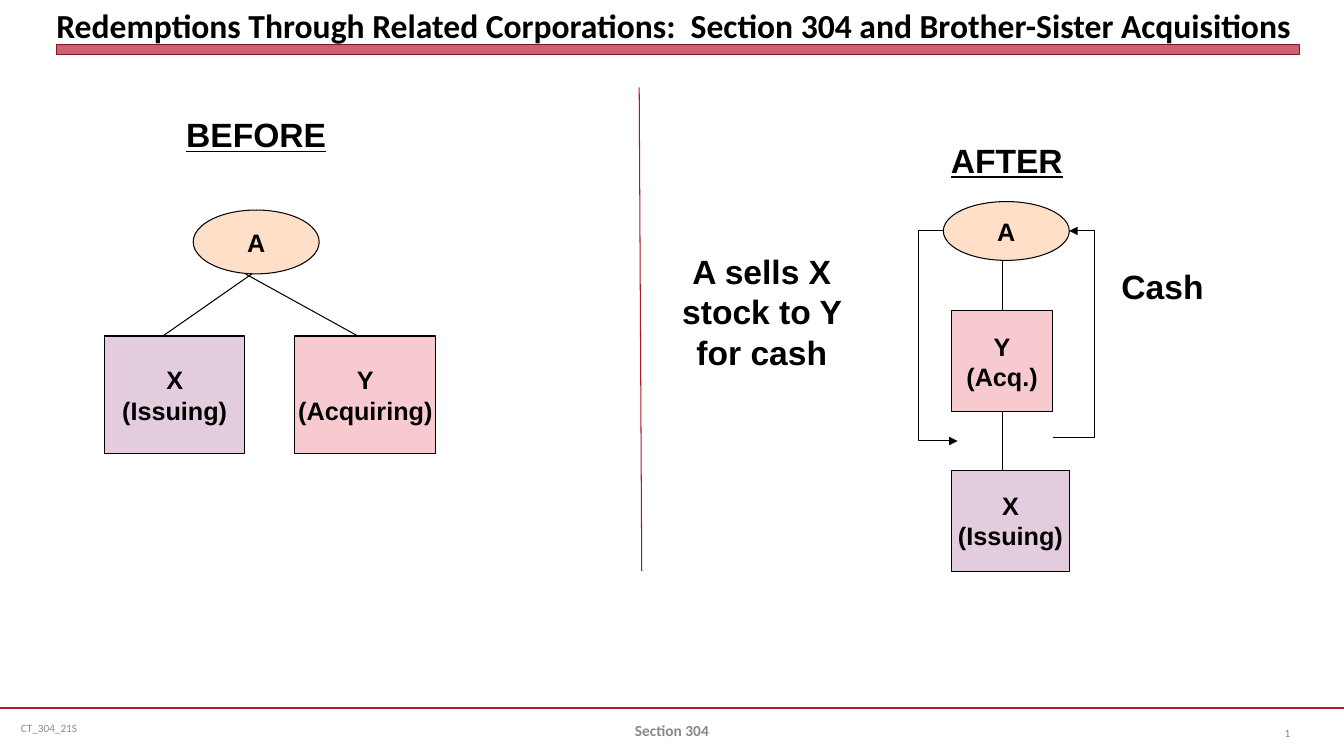
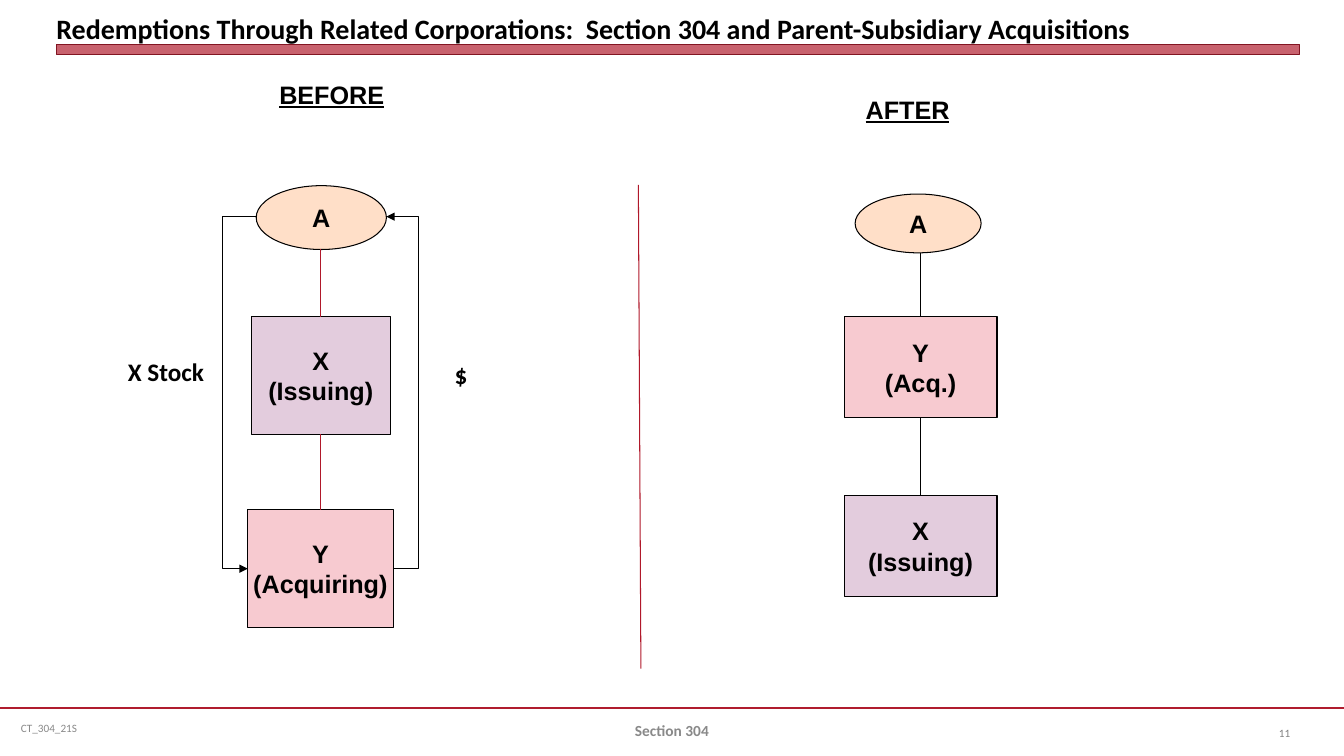
from dataclasses import dataclass

from lxml import etree
from pptx import Presentation
from pptx.dml.color import RGBColor
from pptx.enum.shapes import MSO_CONNECTOR, MSO_SHAPE
from pptx.enum.text import MSO_ANCHOR, PP_ALIGN
from pptx.oxml.ns import qn
from pptx.util import Emu, Inches, Pt

RECT, OVAL = MSO_SHAPE.RECTANGLE, MSO_SHAPE.OVAL
STRAIGHT, ELBOW = MSO_CONNECTOR.STRAIGHT, MSO_CONNECTOR.ELBOW
LEFT, CENTER, RIGHT = PP_ALIGN.LEFT, PP_ALIGN.CENTER, PP_ALIGN.RIGHT
MIDDLE, BOTTOM = MSO_ANCHOR.MIDDLE, MSO_ANCHOR.BOTTOM

# The slide is a grid of 160 columns by 90 rows of square cells.
COLS, ROWS = 160, 90
CELL = Inches(1) // 12


@dataclass(frozen=True)
class Theme:
    ink: str = "000000"
    rule: str = "B01C2E"
    rule_edge: str = "821522"
    divider: str = "B0182A"
    owner: str = "FFDFC8"
    issuing: str = "E3CCDD"
    acquiring: str = "F7CAD0"
    footer: str = "898989"
    number: str = "808080"
    head_font: str = "Calibri"
    body_font: str = "Arial"
    large: int = 24
    medium: int = 20
    body: int = 18
    footer_size: int = 11
    small: int = 8
    thin: float = 0.75
    thick: float = 1.25


T = Theme()


def grid(*cells):
    return [Emu(round(c * CELL)) for c in cells]


def rgb(value):
    return RGBColor.from_string(value)


def write(tf, text, size, font=T.body_font, color=T.ink, bold=True,
          underline=False, align=CENTER, anchor=MIDDLE, wrap=False):
    tf.word_wrap = wrap
    tf.vertical_anchor = anchor
    tf.text = text
    for p in tf.paragraphs:
        p.alignment = align
        for r in p.runs:
            r.font.name, r.font.size = font, Pt(size)
            r.font.bold, r.font.underline = bold, underline
            r.font.color.rgb = rgb(color)


def label(s, box, text, size, **style):
    tf = s.shapes.add_textbox(*grid(*box)).text_frame
    write(tf, text, size, **style)
    return tf


def block(s, kind, box, fill, edge=T.ink, width=T.thin):
    sp = s.shapes.add_shape(kind, *grid(*box))
    sp.shadow.inherit = False
    sp.fill.solid()
    sp.fill.fore_color.rgb = rgb(fill)
    sp.line.color.rgb = rgb(edge)
    sp.line.width = Pt(width)
    return sp


def entity(s, box, text, fill, kind=RECT):
    sp = block(s, kind, box, fill)
    write(sp.text_frame, text, T.body)
    return sp


def owner(s, box):
    return entity(s, box, "A", T.owner, OVAL)


def connect(s, kind, ends, color, width):
    c = s.shapes.add_connector(kind, *ends)
    c.line.color.rgb = rgb(color)
    c.line.width = Pt(width)
    etree.SubElement(c._element.spPr, qn("a:effectLst"))
    return c


def line(s, ends, color=T.ink, width=T.thin):
    return connect(s, STRAIGHT, grid(*ends), color, width)


def stem(s, x, upper, lower, color=T.ink):
    """Vertical line at column x from the foot of upper to the top of lower."""
    x, = grid(x)
    connect(s, STRAIGHT, (x, upper.top + upper.height, x, lower.top),
            color, T.thin)


def flow(s, ends, rail):
    """Elbow arrow whose vertical run lies on column rail."""
    c = connect(s, ELBOW, grid(*ends), T.ink, T.thin)
    share = round((rail - ends[0]) / (ends[2] - ends[0]) * 100000)
    adjust = c._element.spPr.find(qn("a:prstGeom")).get_or_add_avLst()
    etree.SubElement(adjust, qn("a:gd"), name="adj1", fmla=f"val {share}")
    ln = c._element.spPr.find(qn("a:ln"))
    etree.SubElement(ln, qn("a:tailEnd"), type="triangle")


def divider(s, x, top):
    line(s, (x, top, x + 0.3, top + 57.6), T.divider)


def framed_slide(prs, title, title_size, number):
    s = prs.slides.add_slide(prs.slide_layouts[6])
    line(s, (0, 84.3, COLS, 84.3), T.rule, T.thick)
    band = block(s, RECT, (6.7, 5.3, 148, 1.2), T.rule, T.rule_edge, 0)
    color = band._element.spPr.find(qn("a:solidFill"))[0]
    etree.SubElement(color, qn("a:alpha"), val="69000")
    tf = label(s, (6.7, 0.6, 148, 4.8), title, title_size, font=T.head_font,
               align=LEFT, anchor=BOTTOM, wrap=True)
    tf.margin_left = tf.margin_right = tf.margin_top = tf.margin_bottom = 0
    for box, text, size, color, bold, align in (
            ((1.3, 84.3, 41.3, 4.8), "CT_304_21S", T.small, T.footer, False, LEFT),
            ((54.7, 84.6, 50.6, 4.8), "Section 304", T.footer_size, T.footer, True, CENTER),
            ((146.8, 84.9, 8, 4.8), number, T.small, T.number, False, RIGHT)):
        label(s, box, text, size, font=T.head_font, color=color, bold=bold,
              align=align, wrap=True)
    return s


def brother_sister(prs):
    s = framed_slide(prs, "Redemptions Through Related Corporations:  "
                     "Section 304 and Brother-Sister Acquisitions", T.large, "1")
    divider(s, 76.1, 10.4)

    label(s, (19, 13, 23, 6), "BEFORE", T.large, underline=True)
    line(s, (42.6, 40, 29.2, 32.6))
    line(s, (19.4, 40, 30, 32.6))
    owner(s, (23, 25, 15, 7.6))
    entity(s, (12.5, 40, 16.6, 14), "X\n(Issuing)", T.issuing)
    entity(s, (35.1, 40, 16.8, 14), "Y\n(Acquiring)", T.acquiring)

    label(s, (111, 16, 17.7, 6), "AFTER", T.large, underline=True)
    a = owner(s, (112.3, 24, 15, 7))
    y = entity(s, (113.3, 37, 12, 12), "Y\n(Acq.)", T.acquiring)
    x = entity(s, (113.3, 56, 14, 12), "X\n(Issuing)", T.issuing)
    stem(s, 119.3, a, y)
    stem(s, 119.3, y, x)
    flow(s, (112.3, 27.5, 114, 52.5), 109.3)
    flow(s, (125.4, 52.1, 127.3, 27.5), 130.3)
    label(s, (131.2, 31, 14.4, 6), "Cash", T.large)
    label(s, (78, 29.2, 25.4, 15.7), "A sells X\nstock to Y for cash",
          T.large, wrap=True)


def parent_subsidiary(prs):
    s = framed_slide(prs, "Redemptions Through Related Corporations:  "
                     "Section 304 and Parent-Subsidiary Acquisitions", T.medium, "11")
    divider(s, 76, 22)

    label(s, (31, 8.8, 17, 4.8), "BEFORE", T.body, underline=True)
    a = owner(s, (30.5, 22.1, 15.5, 7.6))
    x = entity(s, (29.9, 37.7, 16.6, 14), "X\n(Issuing)", T.issuing)
    y = entity(s, (29.5, 60.7, 17.3, 14), "Y\n(Acquiring)", T.acquiring)
    stem(s, 38.2, a, x, T.divider)
    stem(s, 38.2, x, y, T.divider)
    flow(s, (30.5, 25.8, 29.5, 67.7), 26.5)
    flow(s, (46.8, 67.7, 46, 25.8), 49.8)
    label(s, (13, 41.8, 13.5, 4.8), "X Stock", T.body, font=T.head_font)
    label(s, (51.9, 42.2, 6, 4.8), "$", T.body, font=T.head_font)

    label(s, (100.8, 10.6, 14.5, 4.8), "AFTER", T.body, underline=True)
    a = owner(s, (101.8, 23.1, 15, 7))
    y = entity(s, (100.5, 37.7, 18.2, 12), "Y\n(Acq.)", T.acquiring)
    x = entity(s, (100.5, 59, 18.2, 12), "X\n(Issuing)", T.issuing)
    stem(s, 109.6, a, y)
    stem(s, 109.6, y, x)


def main():
    prs = Presentation()
    prs.slide_width, prs.slide_height = grid(COLS, ROWS)
    brother_sister(prs)
    parent_subsidiary(prs)
    prs.save("out.pptx")


if __name__ == "__main__":
    main()
